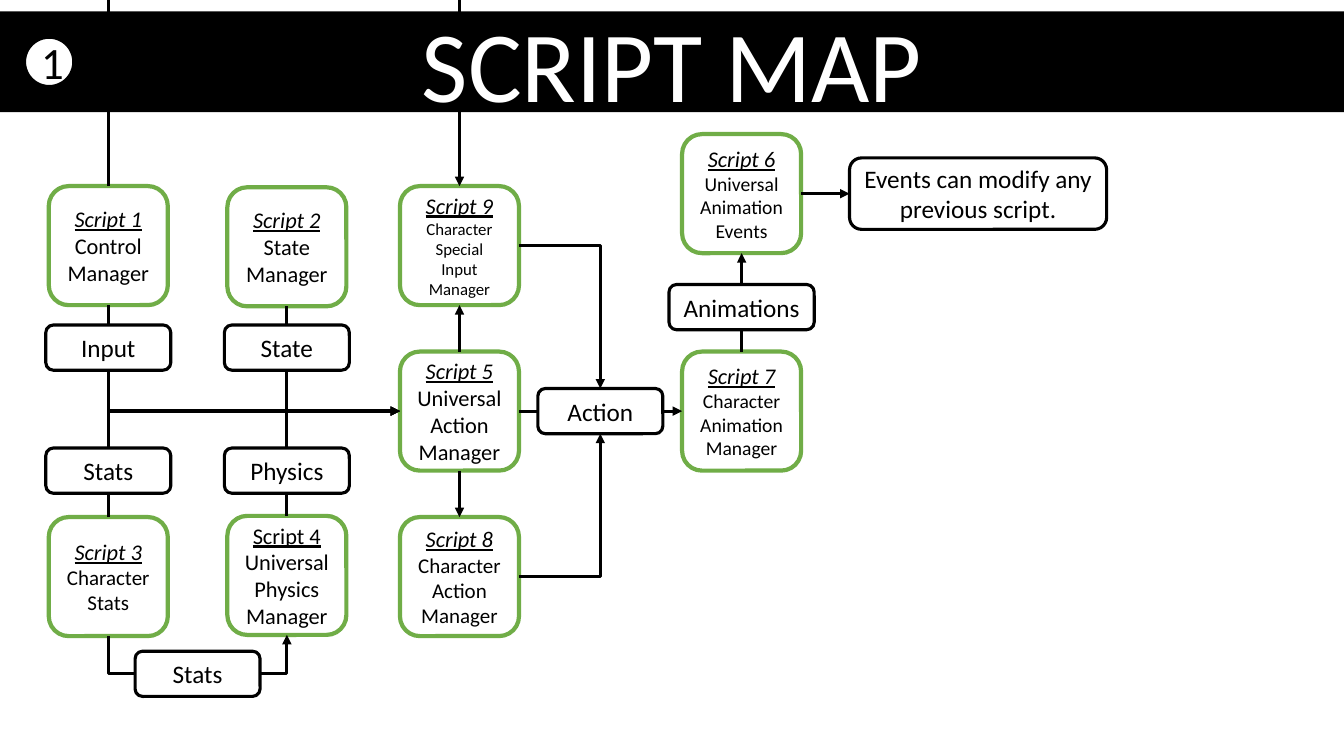
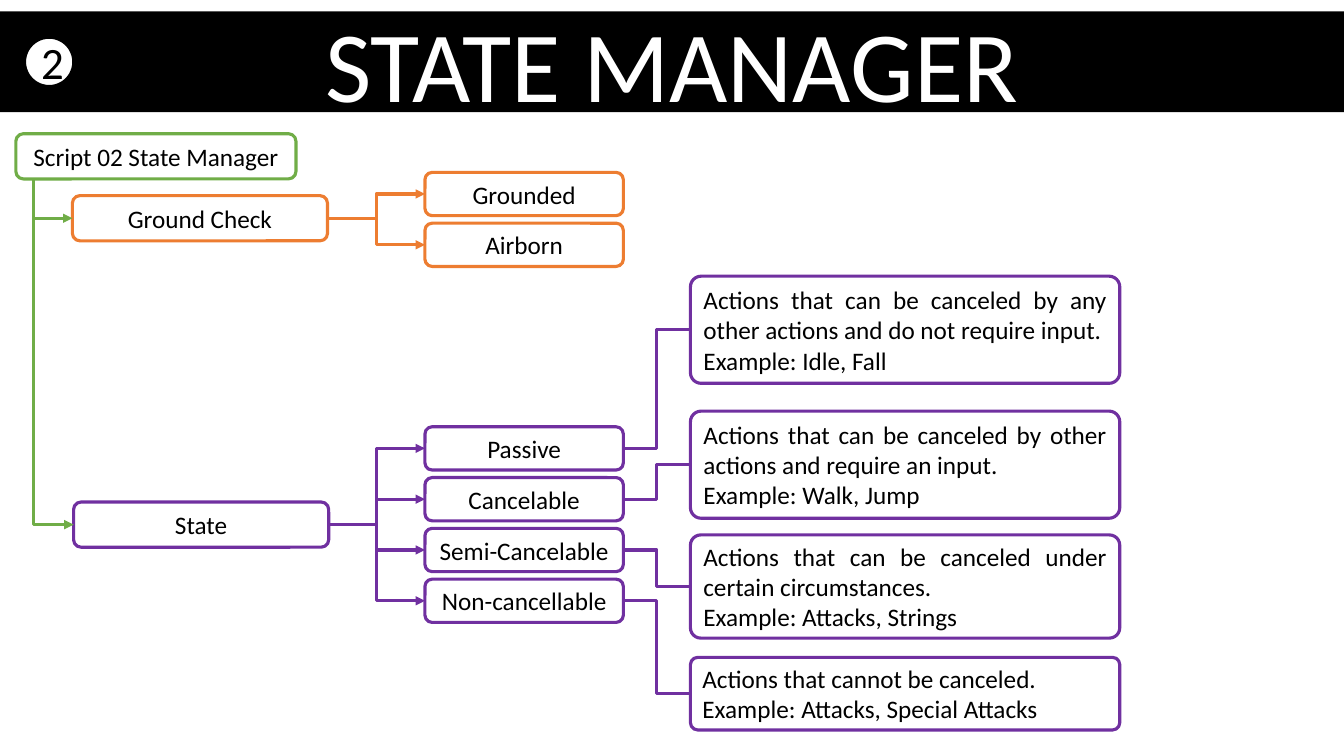
from dataclasses import dataclass
from typing import NamedTuple

from lxml import etree
from pptx import Presentation
from pptx.dml.color import RGBColor
from pptx.enum.shapes import MSO_CONNECTOR, MSO_SHAPE
from pptx.enum.text import MSO_ANCHOR, PP_ALIGN
from pptx.oxml.ns import qn
from pptx.shapes.autoshape import Shape
from pptx.shapes.connector import Connector
from pptx.slide import Slide
from pptx.util import Cm, Pt

STRAIGHT, ELBOW = MSO_CONNECTOR.STRAIGHT, MSO_CONNECTOR.ELBOW
RECTANGLE, ROUNDED, OVAL = MSO_SHAPE.RECTANGLE, MSO_SHAPE.ROUNDED_RECTANGLE, MSO_SHAPE.OVAL
CENTER, JUSTIFY = PP_ALIGN.CENTER, PP_ALIGN.JUSTIFY
MIDDLE = MSO_ANCHOR.MIDDLE
TOP, LEFT, BOTTOM, RIGHT = range(4)

BLACK = RGBColor(0x00, 0x00, 0x00)
WHITE = RGBColor(0xFF, 0xFF, 0xFF)
GREEN = RGBColor(0x70, 0xAD, 0x47)
ORANGE = RGBColor(0xED, 0x7D, 0x31)
PURPLE = RGBColor(0x70, 0x30, 0xA0)

FONT = "Calibri"
LINE_WIDTH = 2.25
SLIDE_WIDTH, SLIDE_HEIGHT = 33.87, 19.05
QUARTER_TURN = 90 * 60000


class Span(NamedTuple):
    text: str
    size: float = 18
    color: RGBColor = BLACK
    italic: bool = False
    underline: bool = False


class Point(NamedTuple):
    x: int
    y: int


class Side(NamedTuple):
    box: Shape
    site: int

    def point(self) -> Point:
        box = self.box
        x = {LEFT: box.left, RIGHT: box.left + box.width}.get(self.site, box.left + box.width // 2)
        y = {TOP: box.top, BOTTOM: box.top + box.height}.get(self.site, box.top + box.height // 2)
        return Point(x, y)


@dataclass
class Box:
    """A shape placed by its centre, with lengths in centimetres."""
    x: float
    y: float
    width: float
    height: float
    paras: list[list[Span]]
    line: RGBColor | None = BLACK
    line_width: float = LINE_WIDTH
    fill: RGBColor = WHITE
    outline: int = ROUNDED
    align: int = CENTER
    rounding: float | None = None


@dataclass
class Script:
    number: int
    name: str
    x: float
    y: float
    size: float = 16
    italic: bool = True


@dataclass
class Note:
    y: float
    height: float
    meaning: str
    example: str


# Shared drawing functions
def draw_box(page: Slide, box: Box) -> Shape:
    shape = page.shapes.add_shape(
        box.outline, Cm(box.x - box.width / 2), Cm(box.y - box.height / 2),
        Cm(box.width), Cm(box.height))
    shape.shadow.inherit = False
    if box.rounding is not None:
        shape.adjustments[0] = box.rounding
    shape.fill.solid()
    shape.fill.fore_color.rgb = box.fill
    if box.line is None:
        shape.line.fill.background()
    else:
        shape.line.color.rgb = box.line
        shape.line.width = Pt(box.line_width)
    frame = shape.text_frame
    frame.word_wrap = True
    frame.vertical_anchor = MIDDLE
    for index, spans in enumerate(box.paras):
        para = frame.add_paragraph() if index else frame.paragraphs[0]
        para.alignment = box.align
        for span in spans:
            run = para.add_run()
            run.text = span.text
            font = run.font
            font.name, font.size = FONT, Pt(span.size)
            font.color.rgb = span.color
            font.italic, font.underline = span.italic, span.underline
    return shape


def draw_line(page: Slide, start: Point, end: Point, color: RGBColor = BLACK,
              arrow: bool = False, kind: int = STRAIGHT) -> Connector:
    line = page.shapes.add_connector(kind, *start, *end)
    line.line.color.rgb = color
    line.line.width = Pt(LINE_WIDTH)
    properties = line._element.spPr
    if arrow:
        etree.SubElement(properties.find(qn("a:ln")), qn("a:tailEnd"), type="triangle")
    etree.SubElement(properties, qn("a:effectLst"))
    return line


def link(page: Slide, start: Side, end: Side, arrow: bool = True) -> None:
    line = draw_line(page, start.point(), end.point(), arrow=arrow)
    line.begin_connect(*start)
    line.end_connect(*end)


def corner(page: Slide, start: Side | Point, end: Side, color: RGBColor = BLACK,
           arrow: bool = True) -> None:
    """One right-angled connector; it leaves downwards from a free point."""
    joined = isinstance(start, Side)
    first, last = start.point() if joined else start, end.point()
    line = draw_line(page, first, last, color, arrow, ELBOW)
    if joined:
        line.begin_connect(*start)
    line.end_connect(*end)
    line._element.spPr.find(qn("a:prstGeom")).set("prst", "bentConnector2")
    if joined and start.site in (LEFT, RIGHT):
        return
    # A vertical first leg is the horizontal one turned about the centre
    across, down = last.x - first.x, last.y - first.y
    line.width, line.height = abs(down), abs(across)
    line.left = (first.x + last.x - line.width) // 2
    line.top = (first.y + last.y - line.height) // 2
    frame = line._element.spPr.find(qn("a:xfrm"))
    frame.set("rot", str(QUARTER_TURN * (3 if down > 0 else 1)))
    frame.set("flipH", "1")
    frame.set("flipV", "0" if down > 0 else "1")


def draw_header(page: Slide, number: int, title: str) -> None:
    draw_box(page, Box(SLIDE_WIDTH / 2, 1.56, SLIDE_WIDTH, 2.54,
                       [[Span(title, 72, WHITE)]], None, fill=BLACK, outline=RECTANGLE))
    draw_box(page, Box(1.24, 1.56, 1.27, 1.27, [[Span(str(number), 32)]],
                       line_width=3, outline=OVAL))


def label(page: Slide, text: str, x: float, y: float, width: float = 3.15,
          height: float = 1.14, color: RGBColor = BLACK) -> Shape:
    return draw_box(page, Box(x, y, width, height, [[Span(text)]], color))


# Slide 1: script map
COLUMNS = (2.73, 7.23, 11.58, 15.13, 18.69)
UPPER, CENTRAL, LOWER, RAISED = 6.19, 10.36, 14.53, 4.88
SCRIPTS = (
    Script(1, "Control Manager", COLUMNS[0], UPPER),
    Script(2, "State Manager", COLUMNS[1], 6.22),
    Script(3, "Character Stats", COLUMNS[0], LOWER, 15),
    Script(4, "Universal Physics Manager", COLUMNS[1], 14.5, italic=False),
    Script(5, "Universal Action Manager", COLUMNS[2], CENTRAL),
    Script(6, "Universal Animation Events", COLUMNS[4], RAISED, 14),
    Script(7, "Character Animation Manager", COLUMNS[4], CENTRAL, 14),
    Script(8, "Character Action Manager", COLUMNS[2], LOWER, 15),
    Script(9, "Character Special Input Manager", COLUMNS[2], UPPER, 12),
)


def draw_script(page: Slide, script: Script) -> Shape:
    spans = [Span(f"Script {script.number}", italic=script.italic, underline=True, size=16),
             Span(f" {script.name}", script.size)]
    return draw_box(page, Box(script.x, script.y, 3, 3, [spans], GREEN, 3))


def build_script_map(page: Slide) -> None:
    scripts = {script.number: draw_script(page, script) for script in SCRIPTS}

    # Values that feed script 5, with their labels over the lines
    hub = Side(scripts[5], LEFT)
    for number, text, y, leaving in ((1, "Input", 8.76, BOTTOM), (2, "State", 8.76, BOTTOM),
                                     (3, "Stats", 11.86, TOP), (4, "Physics", 11.86, TOP)):
        corner(page, Side(scripts[number], leaving), hub)
        label(page, text, SCRIPTS[number - 1].x, y)

    # Stats passed from script 3 to script 4
    shared_stats = label(page, "Stats", (COLUMNS[0] + COLUMNS[1]) / 2, 16.98)
    corner(page, Side(scripts[3], BOTTOM), Side(shared_stats, LEFT), arrow=False)
    corner(page, Side(shared_stats, RIGHT), Side(scripts[4], BOTTOM))

    # Actions and animations
    link(page, Side(scripts[5], TOP), Side(scripts[9], BOTTOM))
    link(page, Side(scripts[5], BOTTOM), Side(scripts[8], TOP))
    link(page, Side(scripts[5], RIGHT), Side(scripts[7], LEFT))
    link(page, Side(scripts[7], TOP), Side(scripts[6], BOTTOM))
    action = label(page, "Action", COLUMNS[3], CENTRAL)
    label(page, "Animations", COLUMNS[4], 7.74, 3.66)
    events = label(page, "Events can modify any previous script.", 24.65, RAISED, 6.48, 1.8)
    corner(page, Side(scripts[9], RIGHT), Side(action, TOP))
    corner(page, Side(scripts[8], RIGHT), Side(action, BOTTOM))
    link(page, Side(scripts[6], RIGHT), Side(events, LEFT))

    # Lines that run behind the title band
    for number, arrow in ((1, False), (9, True)):
        target = Side(scripts[number], TOP)
        line = draw_line(page, Point(target.point().x, 0), target.point(), arrow=arrow)
        line.end_connect(*target)
    draw_header(page, 1, "SCRIPT MAP")


# Slide 2: state manager
TRUNK_X = 0.84
OPTION_X, NOTE_X = 13.21, 22.81
OPTION_PITCH = 1.28
BRANCHES = (
    ("Ground Check", 5.04, 5.5, ORANGE, 4.89, ("Grounded", "Airborn")),
    ("State", 5.07, 13.22, PURPLE, 11.3,
     ("Passive", "Cancelable", "Semi-Cancelable", "Non-cancellable")),
)
NOTES = {
    "Passive": Note(8.31, 2.7, "Actions that can be canceled by any other actions "
                    "and do not require input.", "Idle, Fall"),
    "Cancelable": Note(11.71, 2.7, "Actions that can be canceled by other actions "
                       "and require an input.", "Walk, Jump"),
    "Semi-Cancelable": Note(14.78, 2.6, "Actions that can be canceled under certain "
                            "circumstances.", "Attacks, Strings"),
    "Non-cancellable": Note(17.48, 1.83, "Actions that cannot be canceled.",
                            "Attacks, Special Attacks"),
}


def draw_note(page: Slide, note: Note) -> Shape:
    paras = [[Span(note.meaning)], [Span(f"Example: {note.example}")]]
    return draw_box(page, Box(NOTE_X, note.y, 10.82, note.height, paras, PURPLE,
                              align=JUSTIFY, rounding=0.1))


def build_state_manager(page: Slide) -> None:
    draw_header(page, 2, "STATE MANAGER")
    root = label(page, "Script 02 State Manager", 3.93, 3.94, 7.06, color=GREEN)
    trunk = Point(Cm(TRUNK_X), Side(root, BOTTOM).point().y)

    for name, x, y, color, first_y, options in BRANCHES:
        branch = label(page, name, x, y, 6.43, color=color)
        corner(page, trunk, Side(branch, LEFT), GREEN)
        for index, text in enumerate(options):
            option = label(page, text, OPTION_X, first_y + index * OPTION_PITCH, 5, 1.09, color)
            draw_line(page, Side(branch, RIGHT).point(), Side(option, LEFT).point(),
                      color, arrow=True, kind=ELBOW)
            if text in NOTES:
                note = draw_note(page, NOTES[text])
                draw_line(page, Side(option, RIGHT).point(), Side(note, LEFT).point(),
                          color, kind=ELBOW)


def main() -> None:
    deck = Presentation()
    deck.slide_width, deck.slide_height = Cm(SLIDE_WIDTH), Cm(SLIDE_HEIGHT)
    for build in (build_script_map, build_state_manager):
        build(deck.slides.add_slide(deck.slide_layouts[6]))
    deck.save("out.pptx")


if __name__ == "__main__":
    main()
